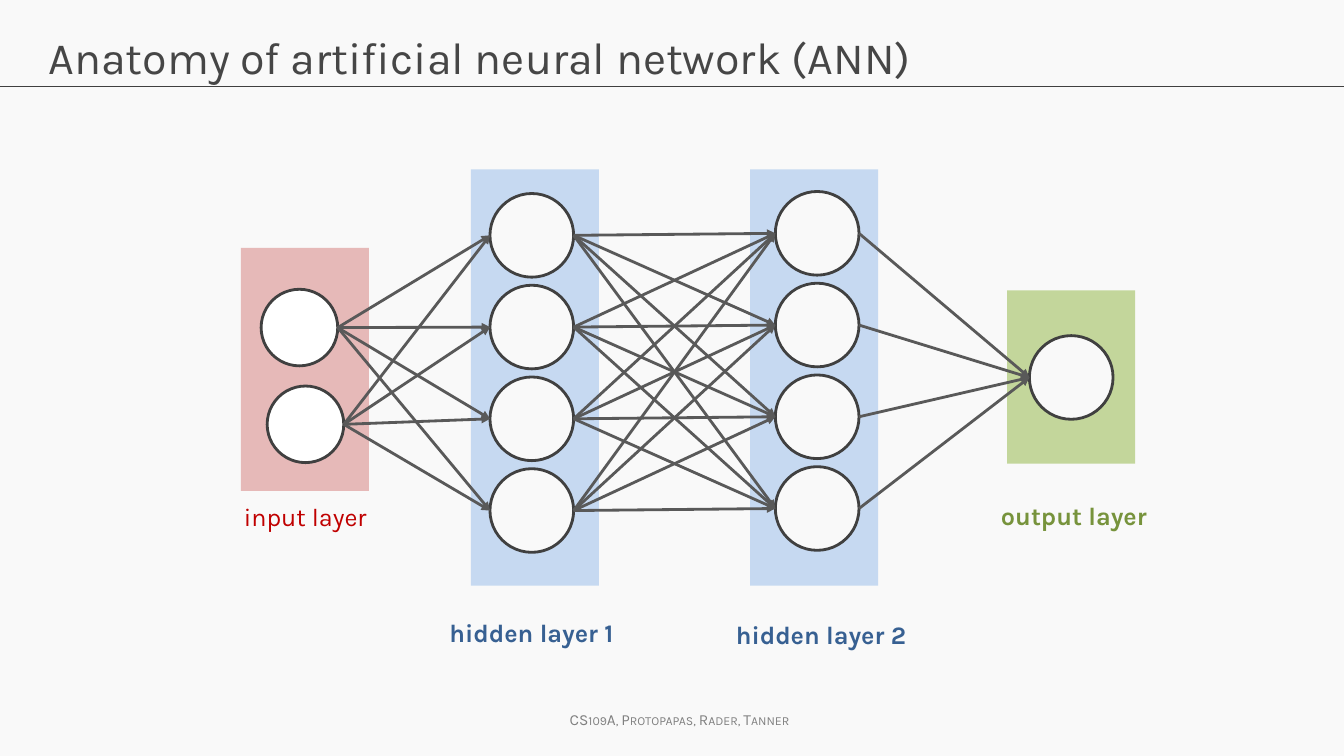
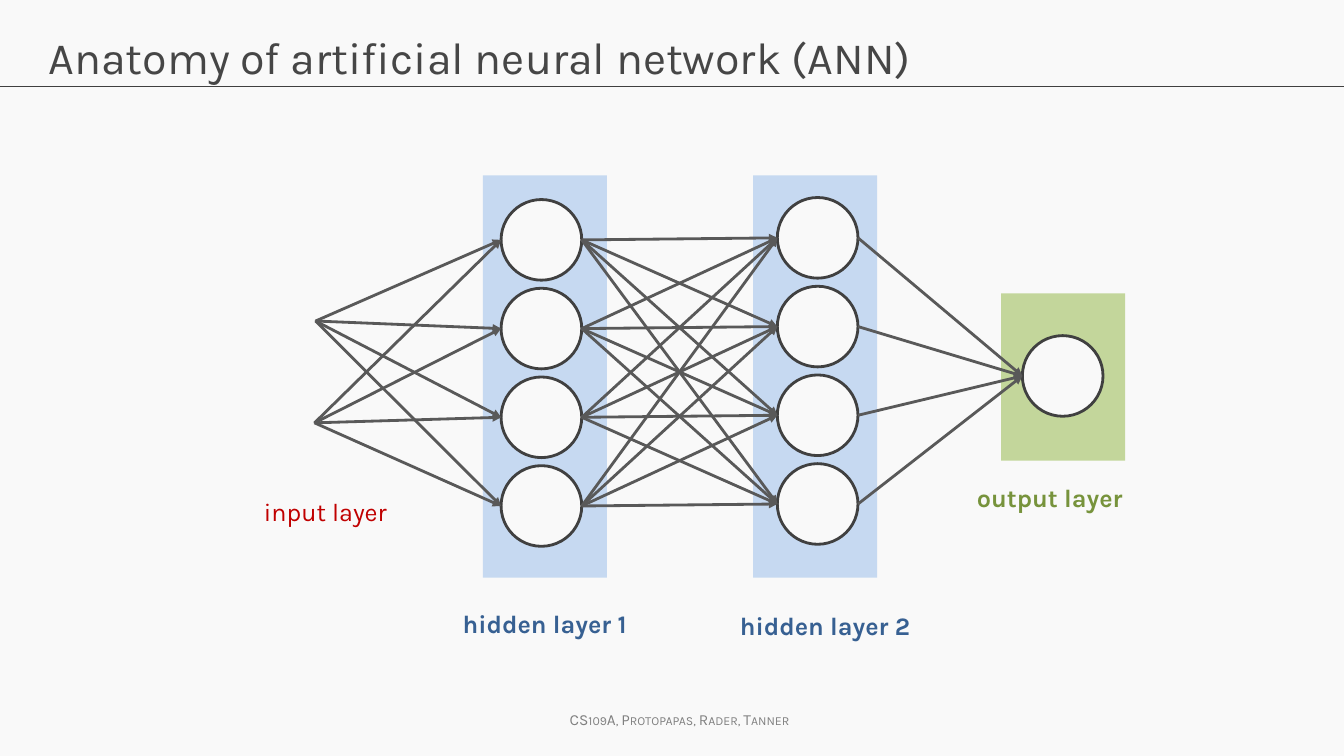
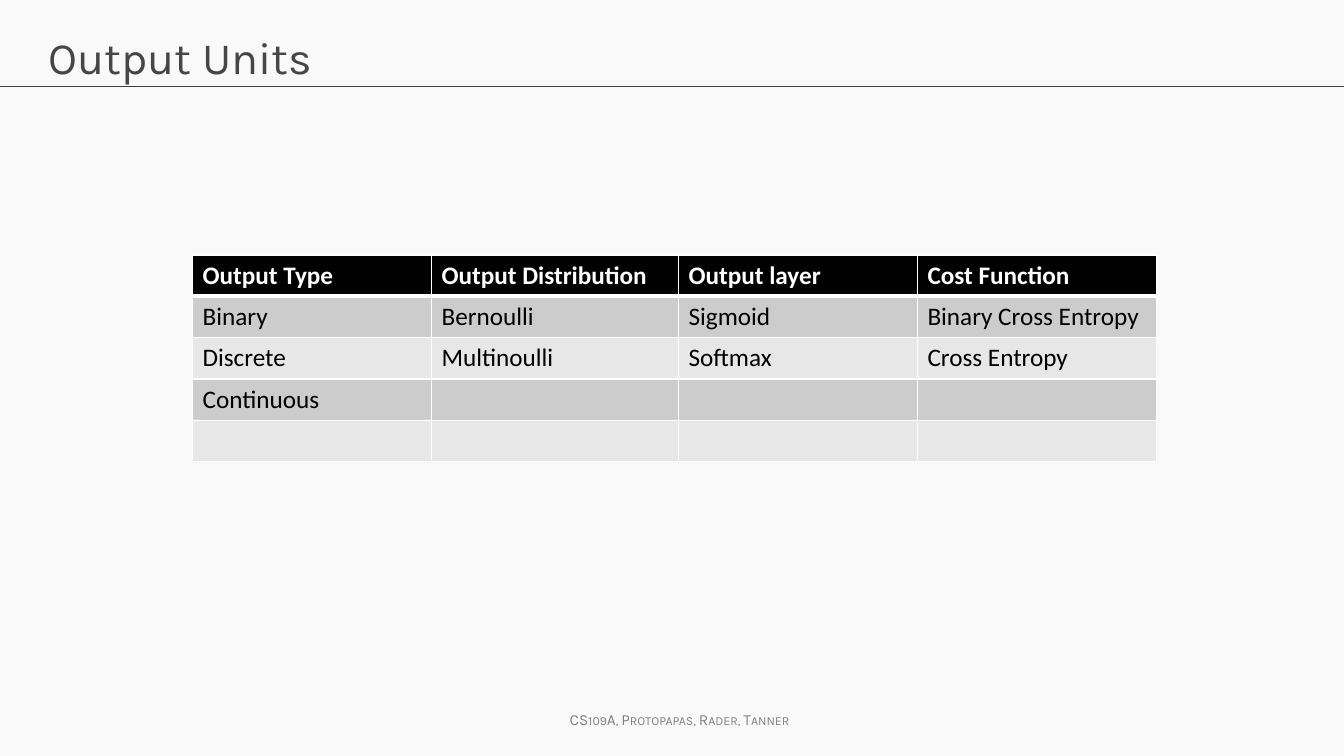
from dataclasses import dataclass
from itertools import pairwise, product

from lxml import etree
from pptx import Presentation
from pptx.dml.color import RGBColor
from pptx.enum.shapes import MSO_CONNECTOR, MSO_SHAPE
from pptx.enum.text import MSO_ANCHOR, MSO_AUTO_SIZE, PP_ALIGN
from pptx.oxml.ns import qn
from pptx.util import Inches, Pt

STRAIGHT = MSO_CONNECTOR.STRAIGHT
RECTANGLE, ELLIPSE = MSO_SHAPE.RECTANGLE, MSO_SHAPE.OVAL
TOP = MSO_ANCHOR.TOP
LEFT, CENTER = PP_ALIGN.LEFT, PP_ALIGN.CENTER
FIT_SHAPE, NO_FIT = MSO_AUTO_SIZE.SHAPE_TO_FIT_TEXT, MSO_AUTO_SIZE.NONE

PAPER, WHITE, BLACK = "F9F9F9", "FFFFFF", "000000"
OUTLINE, LINK, TITLE, FOOTER = "404040", "595959", "464646", "808080"
BANDS = ("E7E7E7", "CCCCCC")
FONT, TABLE_FONT = "Karla", "Calibri"


def rgb(value):
    return RGBColor.from_string(value)


def style_font(font, size, color, name=FONT, bold=False):
    font.name, font.size, font.bold = name, Pt(size), bold
    font.color.rgb = rgb(color)


@dataclass
class Role:
    panel: str
    text: str
    node: str = PAPER
    bold: bool = True


INPUT = Role("E6B9B8", "C00000", WHITE, False)
HIDDEN = Role("C6D9F1", "376092")
OUTPUT = Role("C3D69B", "77933C")


@dataclass
class Layer:
    """A column of nodes; step and shift lead from one node to the next."""
    role: Role
    label: str
    label_at: tuple
    panel: tuple | None
    first: tuple
    diameter: float
    count: int = 1
    step: float = 0
    shift: float = 0

    def nodes(self):
        left, top = self.first
        return [(left + i * self.shift, top + i * self.step) for i in range(self.count)]

    def ports(self, side):
        """Middle points on the left (side 0) or right (side 1) of the nodes."""
        return [(x + side * self.diameter, y + self.diameter / 2) for x, y in self.nodes()]


class Deck:
    def __init__(self):
        self.prs = Presentation()
        self.prs.slide_width, self.prs.slide_height = Inches(13.33), Inches(7.5)
        background = self.prs.slide_master.background.fill
        background.solid()
        background.fore_color.rgb = rgb(PAPER)
        self.layout = self.prs.slide_layouts[5]
        self.slide = None

    def new_slide(self, title):
        first = self.slide is None
        self.slide = self.prs.slides.add_slide(self.layout)
        if first:
            self.furnish_layout()
        heading = self.slide.shapes.title
        heading.left, heading.top = Inches(0.38), Inches(0.24)
        heading.width, heading.height = Inches(12.57), Inches(0.84)
        frame = heading.text_frame
        frame.text = title
        frame.vertical_anchor, frame.auto_size = TOP, NO_FIT
        frame.paragraphs[0].alignment = LEFT
        style_font(frame.paragraphs[0].runs[0].font, 32, TITLE)

    def furnish_layout(self):
        """Draw the title rule and footer and move them to the shared layout."""
        rule = self.line((0, 0.86), (13.33, 0.86), OUTLINE, 0.75)
        footer = self.text("CS109A, Protopapas, Rader, Tanner", (5.49, 7, 2.5, 0.29), 11, FOOTER)
        footer.text_frame.word_wrap = False
        paragraph = footer.text_frame.paragraphs[0]
        paragraph.alignment = CENTER
        paragraph.runs[0].font._element.set("cap", "small")
        for shared in (rule, footer):
            self.layout.shapes.element.append(shared.element)

    def text(self, content, box, size, color, bold=False):
        shape = self.slide.shapes.add_textbox(*map(Inches, box))
        frame = shape.text_frame
        frame.text = content
        frame.word_wrap, frame.auto_size = True, FIT_SHAPE
        style_font(frame.paragraphs[0].runs[0].font, size, color, bold=bold)
        return shape

    def shape(self, kind, box, fill, outline=None):
        shape = self.slide.shapes.add_shape(kind, *map(Inches, box))
        shape.shadow.inherit = False
        shape.fill.solid()
        shape.fill.fore_color.rgb = rgb(fill)
        if outline:
            shape.line.color.rgb = rgb(outline)
            shape.line.width = Pt(2)
        else:
            shape.line.fill.background()

    def line(self, start, end, color, width, arrow=False):
        connector = self.slide.shapes.add_connector(STRAIGHT, *map(Inches, (*start, *end)))
        connector.line.color.rgb = rgb(color)
        connector.line.width = Pt(width)
        properties = connector.element.spPr
        if arrow:
            etree.SubElement(properties.find(qn("a:ln")), qn("a:tailEnd"), type="triangle")
        etree.SubElement(properties, qn("a:effectLst"))
        return connector

    def network(self, layers):
        for layer in layers:
            if layer.panel:
                self.shape(RECTANGLE, layer.panel, layer.role.panel)
        for layer in layers:
            size = layer.diameter
            for left, top in layer.nodes():
                if layer.panel:
                    self.shape(ELLIPSE, (left, top, size, size), layer.role.node, OUTLINE)
                else:
                    self.shape(ELLIPSE, (left, top, size, size), LINK)
        for source, target in pairwise(layers):
            for start, end in product(source.ports(1), target.ports(0)):
                self.line(start, end, LINK, 2, arrow=True)
        for layer in layers:
            box = (*layer.label_at, 2.4, 0.42)
            self.text(layer.label, box, 18, layer.role.text, layer.role.bold)

    def table(self, rows, left, top, widths, row_height):
        frame = self.slide.shapes.add_table(
            len(rows), len(widths), Inches(left), Inches(top),
            Inches(sum(widths)), Inches(row_height * len(rows)))
        table = frame.table
        for column, width in zip(table.columns, widths):
            column.width = Inches(width)
        for r, row in enumerate(rows):
            table.rows[r].height = Inches(row_height)
            header = r == 0
            for c, content in enumerate(row):
                cell = table.cell(r, c)
                self.borders(cell, top=3 if r == 1 else 1, bottom=3 if header else 1)
                cell.fill.solid()
                cell.fill.fore_color.rgb = rgb(BLACK if header else BANDS[r % 2])
                cell.text_frame.text = content
                style_font(cell.text_frame.paragraphs[0].font, 18,
                           WHITE if header else BLACK, TABLE_FONT, header)

    def borders(self, cell, top, bottom):
        properties = cell._tc.get_or_add_tcPr()
        for side, width in (("L", 1), ("R", 1), ("T", top), ("B", bottom)):
            border = etree.SubElement(properties, qn(f"a:ln{side}"), w=str(Pt(width)))
            fill = etree.SubElement(border, qn("a:solidFill"))
            etree.SubElement(fill, qn("a:srgbClr"), val=WHITE)


def main():
    anatomy = "Anatomy of artificial neural network (ANN)"
    deck = Deck()

    deck.new_slide(anatomy)
    deck.network([
        Layer(INPUT, "input layer", (2.32, 4.92), (2.39, 2.46, 1.27, 2.41),
              (2.59, 2.87), 0.76, 2, 0.96, 0.06),
        Layer(HIDDEN, "hidden layer 1", (4.36, 6.07), (4.67, 1.68, 1.27, 4.13),
              (4.86, 1.92), 0.83, 4, 0.91),
        Layer(HIDDEN, "hidden layer 2", (7.2, 6.09), (7.44, 1.68, 1.27, 4.13),
              (7.69, 1.9), 0.83, 4, 0.91),
        Layer(OUTPUT, "output layer", (9.83, 4.91), (9.99, 2.88, 1.27, 1.72),
              (10.21, 3.33), 0.83),
    ])

    deck.new_slide(anatomy)
    deck.network([
        Layer(INPUT, "input layer", (2.52, 4.87), None,
              (3.12, 3.18), 0.01, 2, 1.01, -0.01),
        Layer(HIDDEN, "hidden layer 1", (4.49, 5.99), (4.79, 1.74, 1.23, 3.99),
              (4.97, 1.98), 0.8, 4, 0.88),
        Layer(HIDDEN, "hidden layer 2", (7.24, 6.01), (7.47, 1.74, 1.23, 3.99),
              (7.71, 1.96), 0.8, 4, 0.88),
        Layer(OUTPUT, "output layer", (9.59, 4.74), (9.93, 2.91, 1.23, 1.66),
              (10.14, 3.33), 0.8),
    ])

    deck.new_slide("Output Units")
    deck.table([
        ("Output Type", "Output Distribution", "Output layer", "Cost Function"),
        ("Binary", "Bernoulli", "Sigmoid", "Binary Cross Entropy"),
        ("Discrete", "Multinoulli", "Softmax", "Cross Entropy"),
        ("Continuous", "", "", ""),
        ("", "", "", ""),
    ], 1.91, 2.53, (2.37, 2.45, 2.37, 2.37), 0.41)

    deck.prs.save("out.pptx")


if __name__ == "__main__":
    main()
